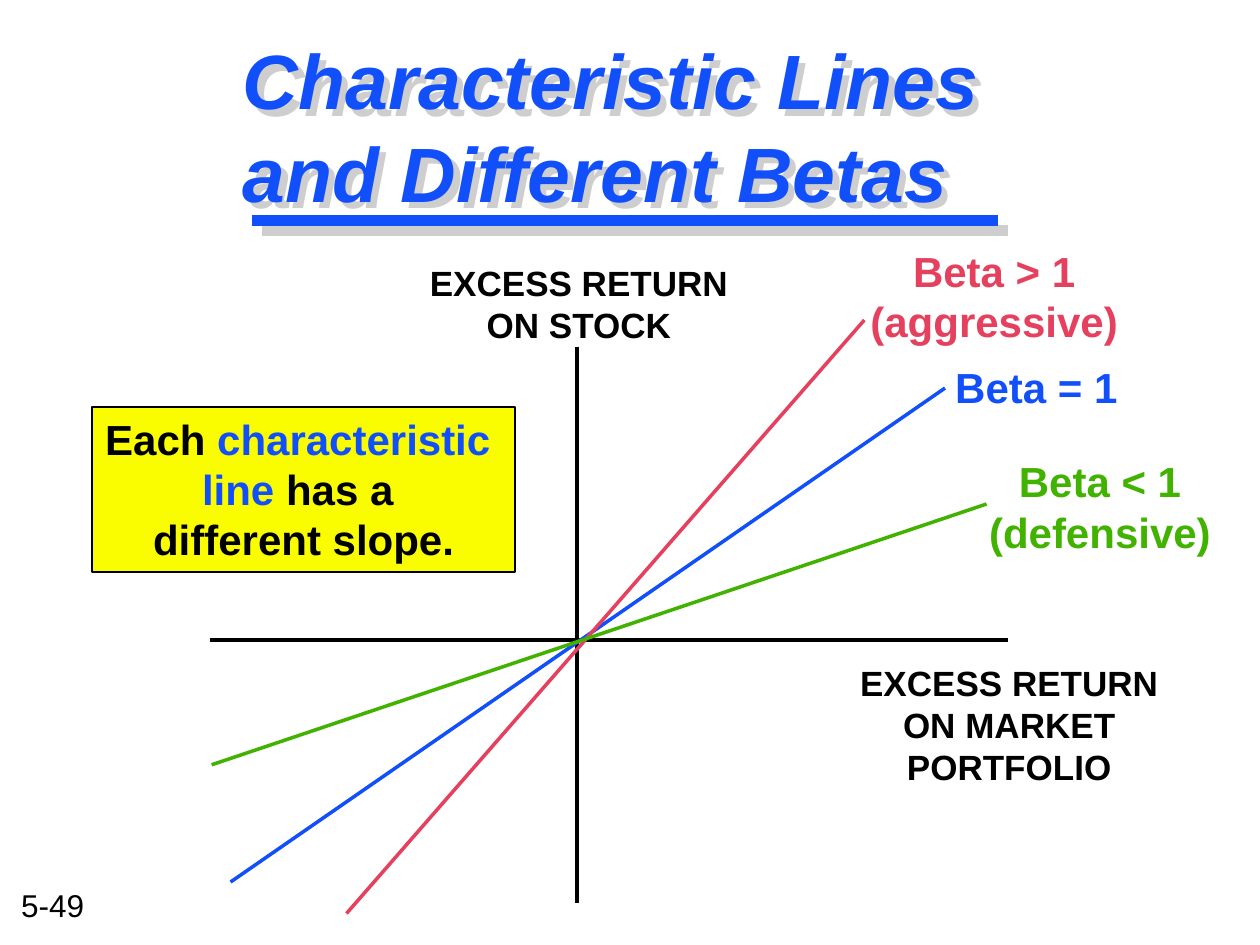
from lxml import etree
from pptx import Presentation
from pptx.dml.color import RGBColor
from pptx.enum.shapes import MSO_CONNECTOR, MSO_SHAPE
from pptx.enum.text import MSO_ANCHOR, PP_ALIGN
from pptx.oxml import parse_xml
from pptx.oxml.ns import nsdecls, qn
from pptx.util import Inches, Pt

BLUE = RGBColor(0x11, 0x4F, 0xFB)
RED = RGBColor(0xE5, 0x40, 0x5D)
GREEN = RGBColor(0x42, 0xB2, 0x00)
YELLOW = RGBColor(0xFA, 0xFD, 0x00)
GRAY = RGBColor(0xCE, 0xCE, 0xCE)
BLACK = RGBColor(0x00, 0x00, 0x00)


def style(span, size, color, bold=True):
    """Set the font of one run."""
    font = span.font
    font.name, font.size, font.bold = "Arial", Pt(size), bold
    font.color.rgb = color


def add_line(page, start, end, color, width=2):
    """Draw a straight line without shadow between two points in inches."""
    points = [Inches(value) for value in (*start, *end)]
    line = page.shapes.add_connector(MSO_CONNECTOR.STRAIGHT, *points)
    line.line.color.rgb = color
    line.line.width = Pt(width)
    etree.SubElement(line._element.spPr, qn("a:effectLst"))


def add_label(page, box, text, size, color, bold=True, align=PP_ALIGN.CENTER, wrap=False):
    """Place a text box and return it."""
    label = page.shapes.add_textbox(*map(Inches, box))
    frame = label.text_frame
    frame.word_wrap = wrap
    frame.text = text
    for para in frame.paragraphs:
        para.alignment = align
        for span in para.runs:
            style(span, size, color, bold)
    return label


def add_title(page, box):
    """Place the shadowed title and its double underline."""
    left, top, width, height = box
    rule_left, rule_top, rule_width = left + 0.17, top + 1.67, 5.92
    for offset, color in ((0.08, GRAY), (0, BLUE)):
        y = rule_top + offset
        add_line(page, (rule_left + offset, y), (rule_left + rule_width + offset, y), color, 6)
    title = add_label(page, box, "Characteristic Lines\vand Different Betas", 44, BLUE,
                      align=PP_ALIGN.LEFT, wrap=True)
    title.text_frame.vertical_anchor = MSO_ANCHOR.MIDDLE
    for span in title.text_frame.paragraphs[0].runs:
        span.font.italic = True
    title._element.spPr.append(parse_xml(
        f'<a:effectLst {nsdecls("a")}><a:outerShdw dist="64000" dir="2700000" '
        f'algn="ctr" rotWithShape="0"><a:srgbClr val="{GRAY}"/></a:outerShdw></a:effectLst>'))


def add_graph(page, box):
    """Draw the axes, the three characteristic lines and their labels."""
    left, top, width, height = box
    origin_x, origin_y = 4.58, 5.08
    add_line(page, (origin_x, top), (origin_x, top + height), BLACK)
    add_line(page, (left + width, origin_y), (left, origin_y), BLACK)
    for start, end, color, label_box, text in (
        ((1.83, 7), (7.5, 3.08), BLUE, (7.48, 2.82, 1.49, 0.5), "Beta = 1"),
        ((2.75, 7.25), (6.86, 2.54), RED, (6.69, 1.9, 2.4, 0.9), "Beta > 1\n(aggressive)"),
        ((1.68, 6.07), (7.83, 4), GREEN, (7.68, 3.57, 2.1, 0.9), "Beta < 1\n(defensive)"),
    ):
        add_line(page, start, end, color)
        add_label(page, label_box, text, 24, color)
    add_label(page, (3.31, 2.03, 2.57, 0.76), "EXCESS RETURN\nON STOCK", 20, BLACK)
    add_label(page, (6.66, 5.2, 2.7, 1.1), "EXCESS RETURN\nON MARKET PORTFOLIO",
              20, BLACK, wrap=True)


def add_note(page, box):
    """Place the yellow note about slopes."""
    note = page.shapes.add_shape(MSO_SHAPE.RECTANGLE, *map(Inches, box))
    note.shadow.inherit = False
    note.fill.solid()
    note.fill.fore_color.rgb = YELLOW
    note.line.color.rgb = BLACK
    note.line.width = Pt(1)
    frame = note.text_frame
    frame.word_wrap = False
    frame.vertical_anchor = MSO_ANCHOR.TOP
    rows = (
        (("Each ", BLACK), ("characteristic ", BLUE)),
        (("line ", BLUE), ("has a ", BLACK)),
        (("different slope.", BLACK),),
    )
    for index, row in enumerate(rows):
        para = frame.add_paragraph() if index else frame.paragraphs[0]
        para.alignment = PP_ALIGN.CENTER
        for text, color in row:
            span = para.add_run()
            span.text = text
            style(span, 24, color)


def main():
    """Build the slide and save it."""
    deck = Presentation()
    deck.slide_width, deck.slide_height = Inches(10), Inches(7.5)
    page = deck.slides.add_slide(deck.slide_layouts[6])
    add_label(page, (0.07, 6.98, 0.73, 0.4), "5-49", 18, BLACK, False, PP_ALIGN.LEFT)
    add_title(page, (1.83, 0.08, 7.83, 1.83))
    add_graph(page, (1.67, 2.75, 6.33, 4.42))
    add_note(page, (0.73, 3.23, 3.36, 1.31))
    deck.save("out.pptx")


if __name__ == "__main__":
    main()
